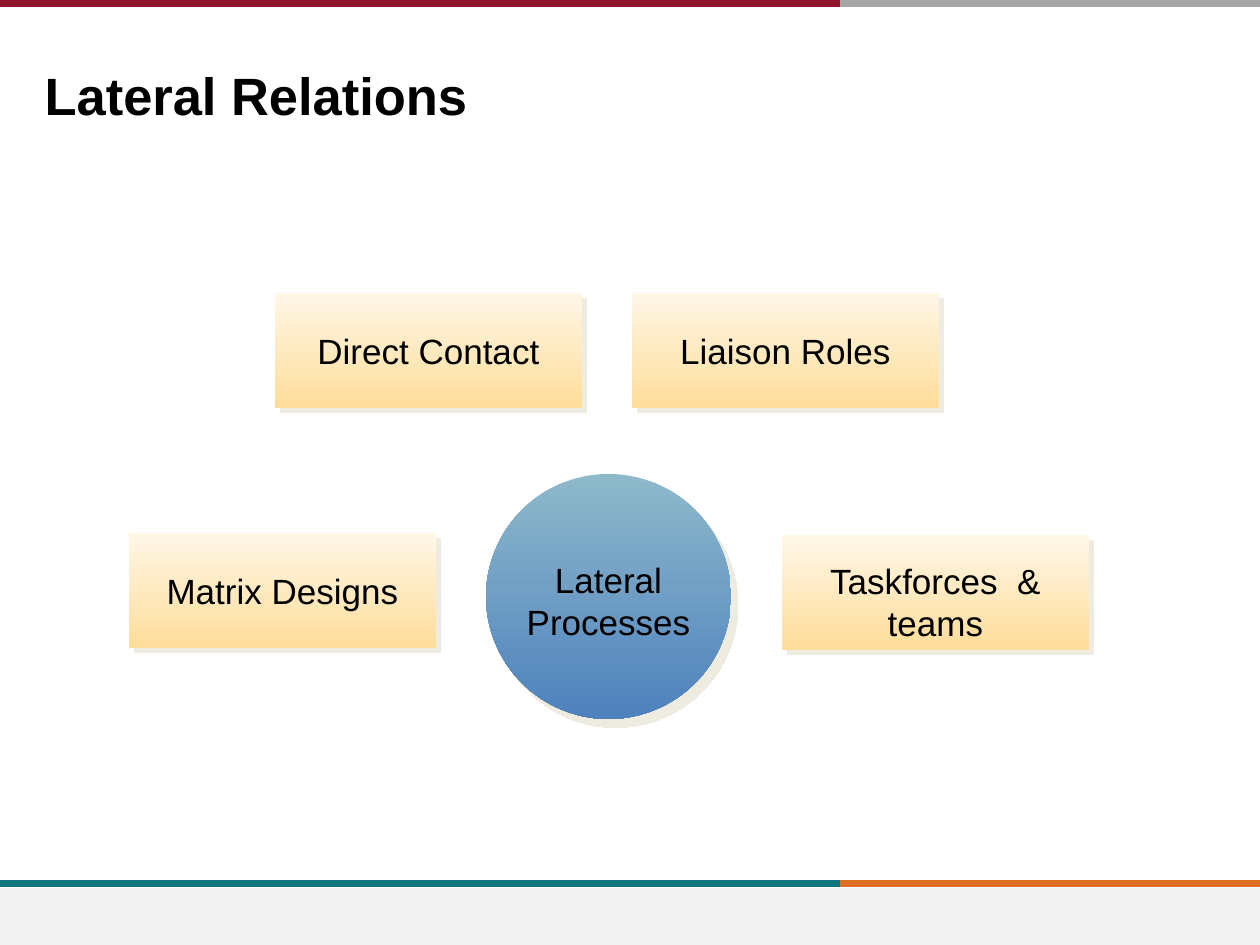
from lxml import etree
from pptx import Presentation
from pptx.dml.color import RGBColor
from pptx.enum.shapes import MSO_CONNECTOR, MSO_SHAPE
from pptx.enum.text import MSO_ANCHOR, MSO_AUTO_SIZE, PP_ALIGN
from pptx.oxml.ns import qn
from pptx.util import Emu, Pt

RECT, OVAL = MSO_SHAPE.RECTANGLE, MSO_SHAPE.OVAL
STRAIGHT = MSO_CONNECTOR.STRAIGHT
LEFT, CENTER = PP_ALIGN.LEFT, PP_ALIGN.CENTER
MIDDLE, TOP = MSO_ANCHOR.MIDDLE, MSO_ANCHOR.TOP
FIXED, GROW = MSO_AUTO_SIZE.NONE, MSO_AUTO_SIZE.SHAPE_TO_FIT_TEXT

BLACK = RGBColor(0x00, 0x00, 0x00)
RED = RGBColor(0x90, 0x15, 0x2A)
GRAY = RGBColor(0xA6, 0xA6, 0xA6)
TEAL = RGBColor(0x0F, 0x78, 0x7D)
ORANGE = RGBColor(0xDF, 0x70, 0x23)
FOOTER = RGBColor(0xF2, 0xF2, 0xF2)
CREAM = RGBColor(0xFF, 0xF7, 0xE7)
GOLD = RGBColor(0xFE, 0xDD, 0x9A)
SKY = RGBColor(0x8E, 0xB9, 0xCB)
BLUE = RGBColor(0x4F, 0x81, 0xBD)
SHADOW = RGBColor(0xEE, 0xEC, 0xE1)

WIDTH, HEIGHT, SPLIT = 1260, 945, 840
BOX_W, BOX_H = 307, 115
CIRCLE = 245
LINE_H, PAD = 42, 12


def px(n):
    return Emu(round(n * 914400 / 126))


def put_text(shape, text, size=20, bold=False, align=CENTER, anchor=TOP, fit=GROW):
    tf = shape.text_frame
    tf.word_wrap = True
    tf.auto_size = fit
    tf.vertical_anchor = anchor
    p = tf.paragraphs[0]
    p.alignment = align
    r = p.add_run()
    r.text = text
    font = r.font
    font.name, font.size, font.bold = "Arial", Pt(size), bold
    font.color.rgb = BLACK


def add_rule(s, y, x1, x2, color):
    line = s.shapes.add_connector(STRAIGHT, px(x1), px(y), px(x2), px(y))
    line.line.color.rgb = color
    line.line.width = Pt(4)
    etree.SubElement(line._element.spPr, qn("a:effectLst"))


def add_frame(s):
    for y, left, right in ((4, RED, GRAY), (884, TEAL, ORANGE)):
        add_rule(s, y, 0, SPLIT, left)
        add_rule(s, y, SPLIT, WIDTH, right)
    band = s.shapes.add_shape(RECT, 0, px(888), px(WIDTH), px(HEIGHT - 888))
    band.shadow.inherit = False
    band.fill.solid()
    band.fill.fore_color.rgb = FOOTER
    band.line.fill.background()


def add_shadow(shape, distance, angle):
    shape.shadow.inherit = False
    effects = shape._element.spPr.find(qn("a:effectLst"))
    outer = etree.SubElement(effects, qn("a:outerShdw"), dist=str(Pt(distance)),
                             dir=str(angle * 60000), algn="ctr", rotWithShape="0")
    etree.SubElement(outer, qn("a:srgbClr"), val=str(SHADOW))


def add_node(s, kind, x, y, w, h, text, colors, shadow, inset, lines=1, drop=0):
    group = s.shapes.add_group_shape()
    sp = group.shapes.add_shape(kind, px(x), px(y), px(w), px(h))
    sp.fill.gradient()
    sp.fill.gradient_angle = 270
    for stop, color in zip(sp.fill.gradient_stops, colors):
        stop.color.rgb = color
    sp.line.fill.background()
    add_shadow(sp, *shadow)
    text_h = lines * LINE_H + PAD
    label = group.shapes.add_textbox(px(x + inset), px(y + (h - text_h) // 2 + drop),
                                     px(w - 2 * inset), px(text_h))
    put_text(label, text)


def add_box(s, x, y, text, lines=1, drop=0):
    add_node(s, RECT, x, y, BOX_W, BOX_H, text, (CREAM, GOLD), (4.2, 45), 8, lines, drop)


def main():
    prs = Presentation()
    prs.slide_width, prs.slide_height = px(WIDTH), px(HEIGHT)
    s = prs.slides.add_slide(prs.slide_layouts[5])
    add_frame(s)

    title = s.shapes.title
    title.left, title.top = px(32), px(58)
    title.width, title.height = px(1007), px(74)
    put_text(title, "Lateral Relations", size=30, bold=True, align=LEFT,
             anchor=MIDDLE, fit=FIXED)

    add_box(s, 632, 293, "Liaison Roles")
    add_box(s, 275, 293, "Direct Contact")
    add_box(s, 129, 533, "Matrix Designs")
    add_box(s, 782, 535, "Taskforces  & teams", lines=2, drop=9)
    add_node(s, OVAL, 486, 474, CIRCLE, CIRCLE, "Lateral Processes",
             (SKY, BLUE), (6.4, 51), 7, lines=2, drop=4)

    prs.save("out.pptx")


if __name__ == "__main__":
    main()
